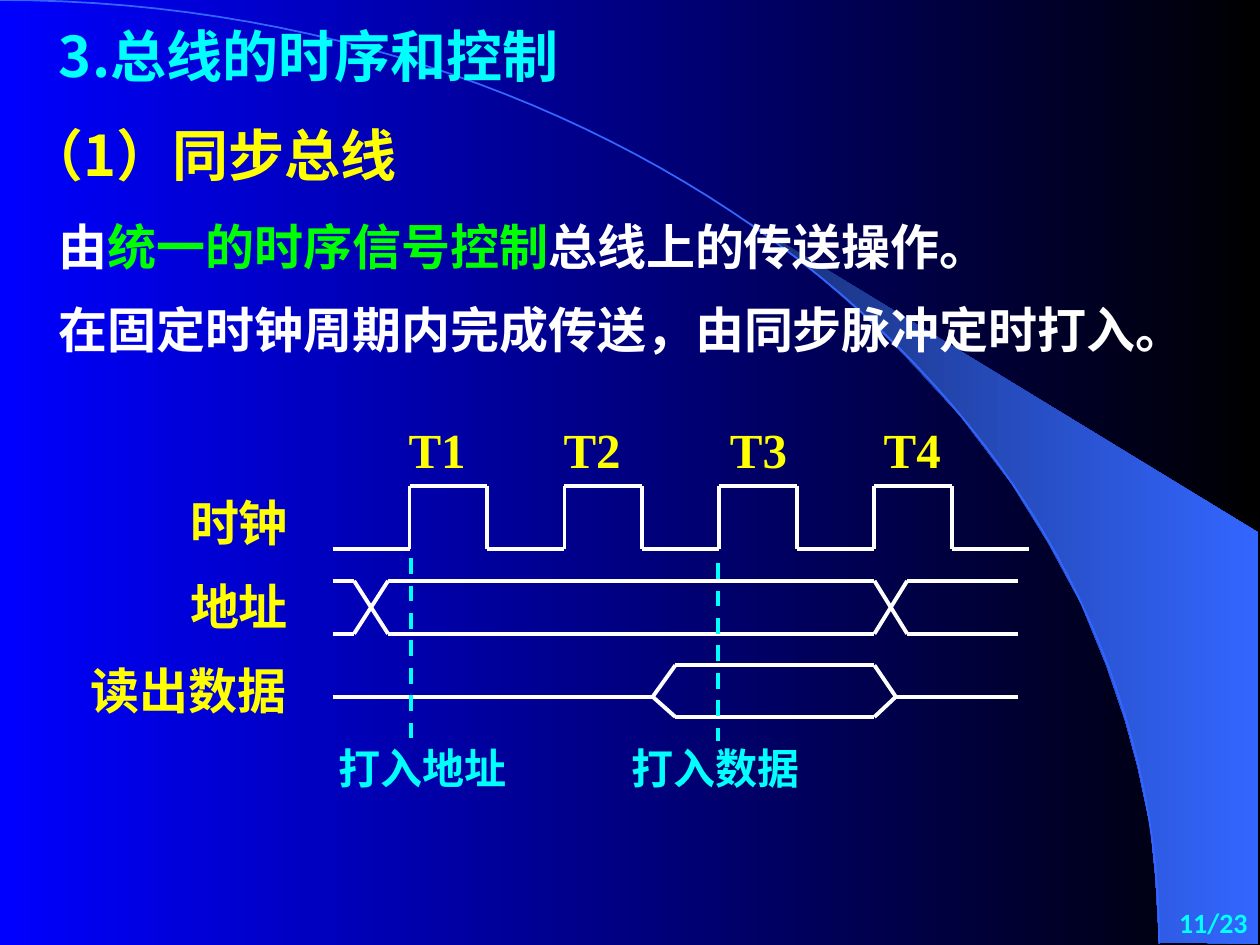
from typing import NamedTuple

from lxml import etree
from pptx import Presentation
from pptx.dml.color import RGBColor
from pptx.enum import dml, shapes, text
from pptx.oxml import ns
from pptx.util import Inches, Pt

HUES = {
    "blue": "0000FF",
    "black": "000000",
    "navy": "182F76",
    "azure": "3366FF",
    "cyan": "00FFFF",
    "yellow": "FFFF00",
    "white": "FFFFFF",
    "green": "00FF00",
}
SANS = "Noto Sans CJK SC"
SERIF = "Times New Roman"
LEFT, MID, RIGHT = text.PP_ALIGN.LEFT, text.PP_ALIGN.CENTER, text.PP_ALIGN.RIGHT


class Label(NamedTuple):
    x: float
    y: float
    w: float
    h: float
    runs: list[tuple[str, str]]
    size: int
    face: str = SERIF
    align: text.PP_ALIGN = LEFT
    anchor: text.MSO_ANCHOR = text.MSO_ANCHOR.TOP


class Wire(NamedTuple):
    x1: float
    y1: float
    x2: float
    y2: float
    hue: str = "white"
    width: float = 2.25
    dash: bool = False


def tint(name: str) -> RGBColor:
    return RGBColor.from_string(HUES[name])


def blend(fill, start: str, end: str) -> None:
    fill.gradient()
    fill.gradient_angle = 0
    for stop, name in zip(fill.gradient_stops, (start, end)):
        stop.color.rgb = tint(name)


def write(slide, item: Label) -> None:
    box = slide.shapes.add_textbox(
        Inches(item.x), Inches(item.y), Inches(item.w), Inches(item.h))
    frame = box.text_frame
    frame.word_wrap = True
    frame.vertical_anchor = item.anchor
    para = frame.paragraphs[0]
    para.alignment = item.align
    font = para.font
    font.size = Pt(item.size)
    font.bold = True
    font.color.rgb = tint(item.runs[0][1])
    font.name = item.face
    east = etree.SubElement(font._element, ns.qn("a:ea"))
    east.set("typeface", SANS)
    for words, hue in item.runs:
        run = para.add_run()
        run.text = words
        if len(item.runs) > 1:
            run.font.color.rgb = tint(hue)


def draw(slide, wire: Wire) -> None:
    line = slide.shapes.add_connector(
        shapes.MSO_CONNECTOR.STRAIGHT,
        Inches(wire.x1), Inches(wire.y1), Inches(wire.x2), Inches(wire.y2))
    line.line.color.rgb = tint(wire.hue)
    line.line.width = Pt(wire.width)
    if wire.dash:
        line.line.dash_style = dml.MSO_LINE.DASH
    etree.SubElement(line._element.spPr, ns.qn("a:effectLst"))


def trace(slide, dots: list[tuple[float, float]], close: bool):
    ends = [(Inches(x), Inches(y)) for x, y in dots]
    pen = slide.shapes.build_freeform(*ends[0])
    pen.add_line_segments(ends[1:], close=close)
    shape = pen.convert_to_shape()
    shape.shadow.inherit = False
    return shape


def curve(count: int) -> list[tuple[float, float]]:
    dots = []
    for step in range(count + 1):
        t = step / count
        s = 1 - t
        dots.append((3 * s * s * t * 5.08 + 3 * s * t * t * 9.2 + t ** 3 * 9.2,
                     3 * s * t * t * 3.35 + t ** 3 * 7.49))
    return dots


def paint(slide) -> None:
    blend(slide.background.fill, "blue", "black")
    beam = trace(slide, [
        (9.2, 7.48), (9.99, 7.49), (9.99, 4.23), (5.89, 1.73), (6.24, 1.99),
        (6.53, 2.22), (6.85, 2.5), (7.16, 2.8), (7.62, 3.3), (8.03, 3.84),
        (8.32, 4.31), (8.58, 4.79), (8.78, 5.28), (8.93, 5.72), (9.03, 6.09),
        (9.13, 6.56), (9.17, 6.96)], True)
    blend(beam.fill, "navy", "azure")
    beam.line.fill.background()
    arc = trace(slide, curve(60), False)
    arc.fill.background()
    arc.line.color.rgb = tint("azure")
    arc.line.width = Pt(1)


def clock() -> list[Wire]:
    high, low, half = 3.86, 4.36, 0.615
    wires = [Wire(2.99, 4.44, 2.99, 4.44, width=1), Wire(2.64, low, 3.25, low)]
    for beat in range(4):
        rise = 3.25 + 2 * half * beat
        fall = rise + half
        wires += [Wire(rise, low, rise, high), Wire(rise, high, fall, high),
                  Wire(fall, high, fall, low), Wire(fall, low, fall + half, low)]
    return wires


def address() -> list[Wire]:
    top, base = 4.61, 5.03
    wires = [Wire(x1, y, x2, y) for y in (top, base)
             for x1, x2 in ((2.64, 2.81), (3.08, 6.94), (7.2, 8.08))]
    for x1, x2 in ((2.81, 3.08), (6.94, 7.2)):
        wires += [Wire(x1, top, x2, base), Wire(x1, base, x2, top)]
    return wires


def data() -> list[Wire]:
    top, axis, base = 5.28, 5.53, 5.69
    wires = [Wire(2.64, axis, 5.18, axis), Wire(7.11, axis, 8.08, axis)]
    for y in (top, base):
        wires += [Wire(5.18, axis, 5.36, y), Wire(5.36, y, 6.94, y),
                  Wire(6.94, y, 7.11, axis)]
    return wires


def main() -> None:
    deck = Presentation()
    deck.slide_width, deck.slide_height = Inches(10), Inches(7.5)
    slide = deck.slides.add_slide(deck.slide_layouts[6])
    paint(slide)

    labels = [
        Label(0.37, 0.12, 5.64, 0.64, [("3.总线的时序和控制", "cyan")], 32, SANS),
        Label(0.12, 0.91, 4.75, 0.64, [("（1）同步总线", "yellow")], 32, SANS),
        Label(0.37, 1.67, 8.23, 0.57,
              [("由", "white"), ("统一的时序信号控制", "green"),
               ("总线上的传送操作。", "white")], 28, SANS),
        Label(0.37, 2.33, 9.33, 0.57,
              [("在固定时钟周期内完成传送，由同步脉冲定时打入。", "white")], 28, SANS),
        Label(1.41, 3.86, 1.58, 0.57, [("时钟", "yellow")], 28),
        Label(1.41, 4.53, 1.58, 0.57, [("地址", "yellow")], 28),
        Label(0.62, 5.19, 2.19, 0.57, [("读出数据", "yellow")], 28),
        Label(2.59, 5.84, 2.08, 0.5, [("打入地址", "cyan")], 24),
        Label(4.64, 5.84, 2.08, 0.5, [("打入数据", "cyan")], 24, align=MID),
        Label(7.92, 7.14, 2.08, 0.36, [("11/23", "cyan")], 16, "Calibri",
              RIGHT, text.MSO_ANCHOR.MIDDLE),
    ]
    for beat, x in enumerate((2.9, 4.13, 5.45, 6.67), 1):
        labels.append(Label(x, 3.28, 1.14, 0.57, [(f"T{beat}", "yellow")], 28,
                            align=MID))
    for item in labels:
        write(slide, item)

    marks = [Wire(3.26, 4.43, 3.26, 5.88, "cyan", dash=True),
             Wire(5.7, 4.47, 5.7, 5.88, "cyan", dash=True)]
    for wire in clock() + address() + data() + marks:
        draw(slide, wire)
    deck.save("out.pptx")


if __name__ == "__main__":
    main()
